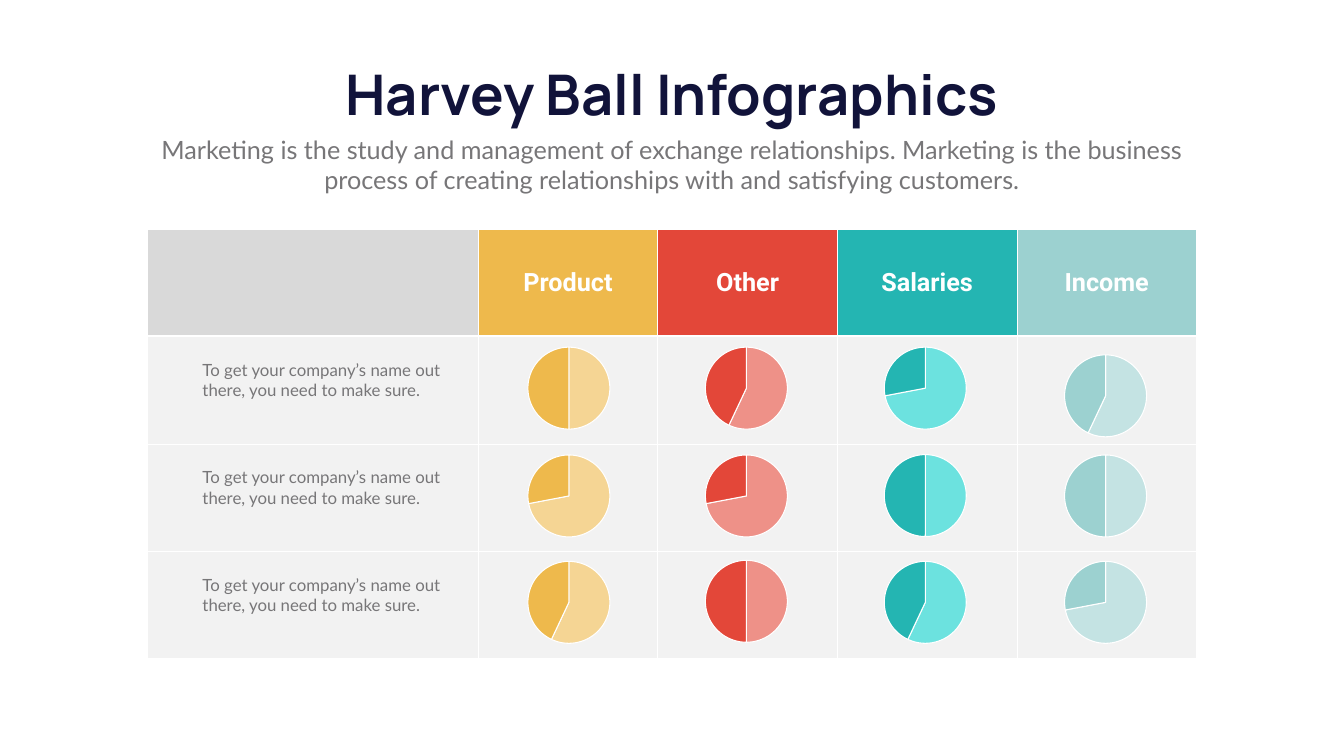
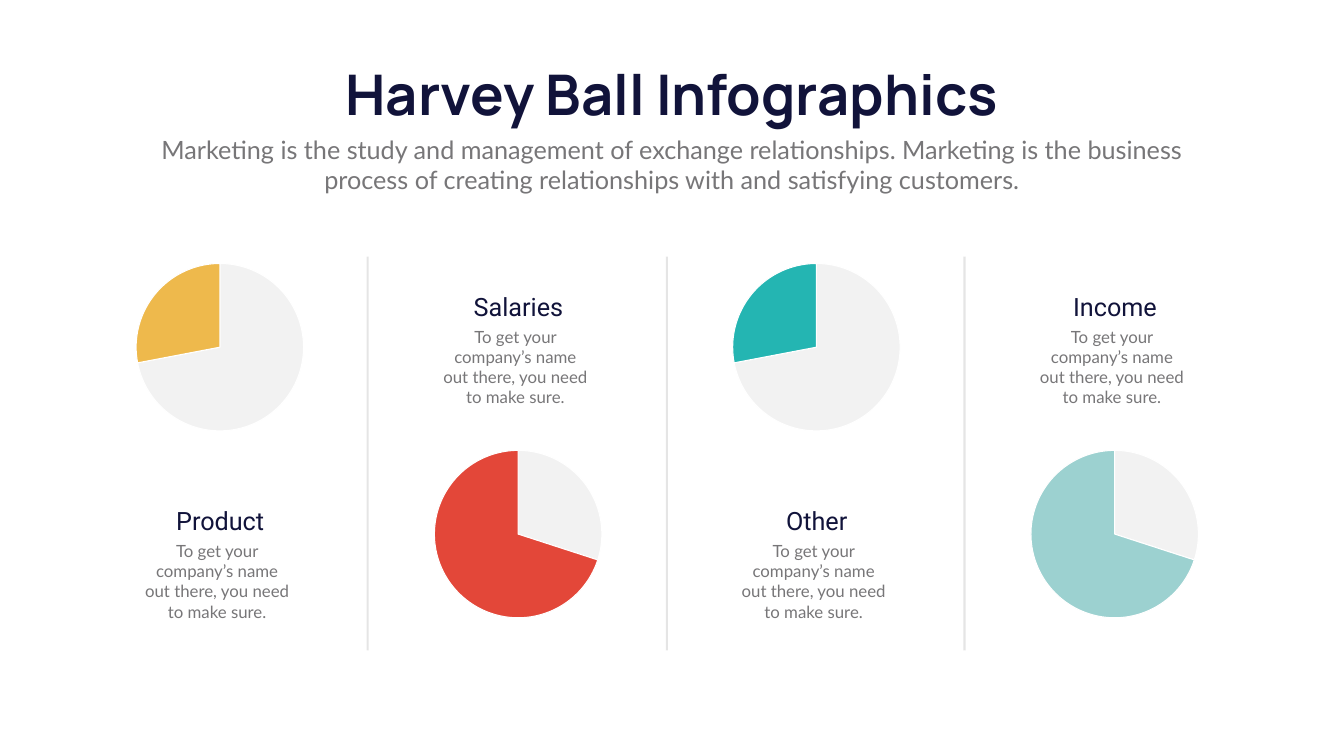
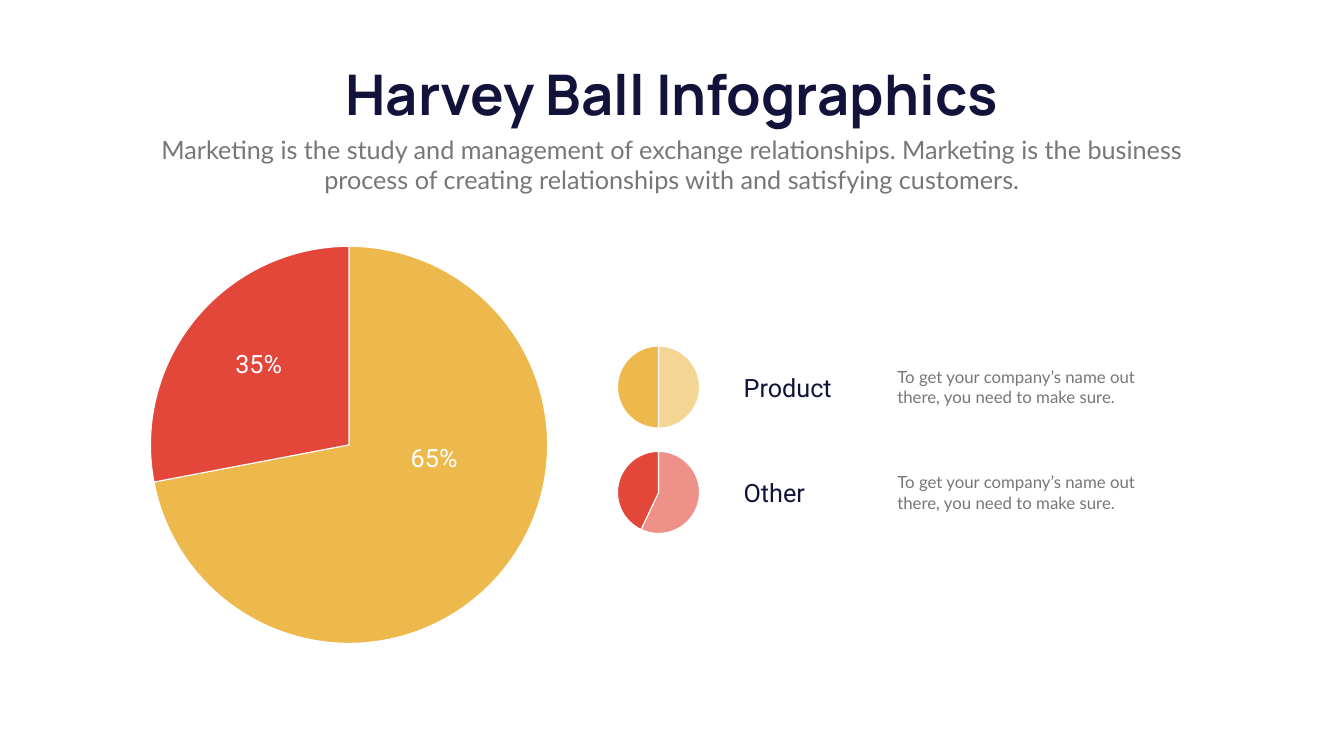
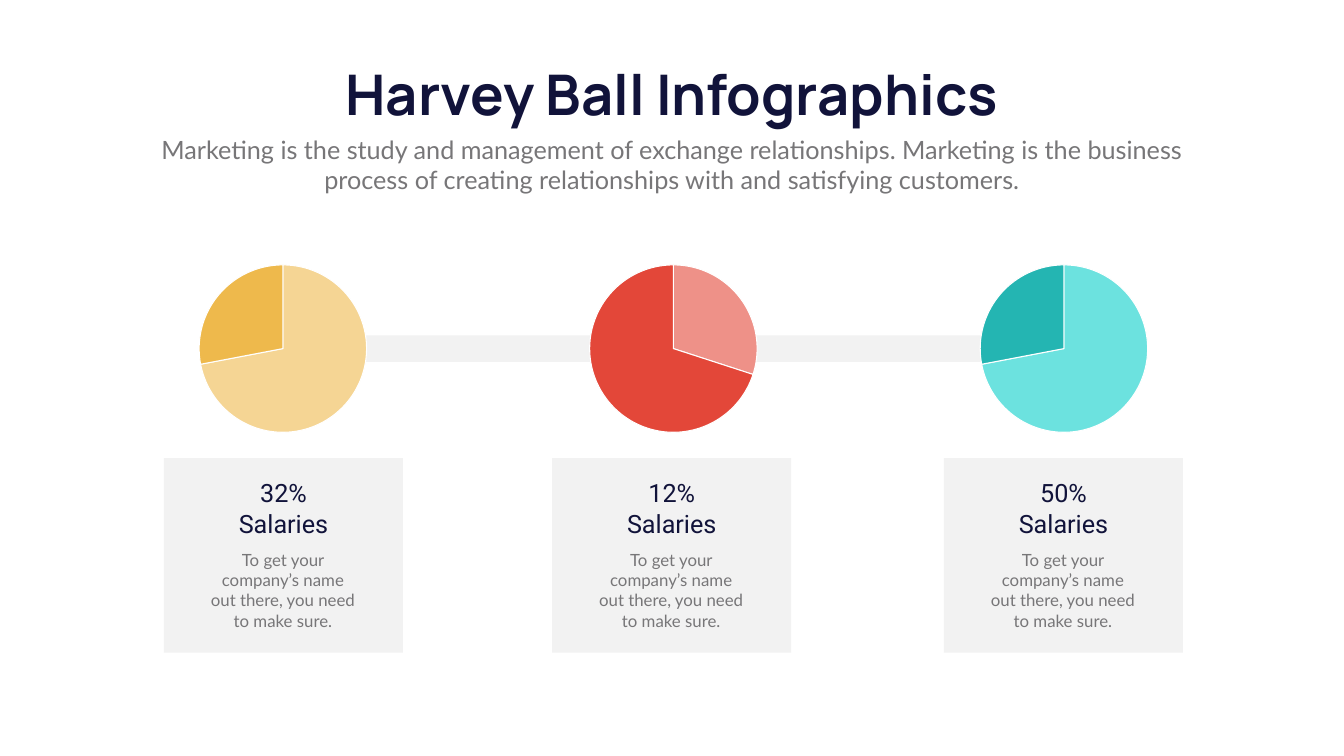
"""Build four Harvey ball infographic slides that share one title block."""
from dataclasses import dataclass

from lxml.etree import SubElement
from pptx import Presentation
from pptx.chart.data import CategoryChartData
from pptx.dml.color import RGBColor
from pptx.enum.chart import XL_CHART_TYPE as ChartType
from pptx.enum.shapes import MSO_CONNECTOR as Connector, MSO_SHAPE as Shape
from pptx.enum.text import MSO_ANCHOR as Anchor, MSO_AUTO_SIZE as AutoSize, PP_ALIGN as Align
from pptx.oxml import parse_xml
from pptx.oxml.ns import nsdecls, qn
from pptx.util import Pt


@dataclass(frozen=True)
class Style:
    font: str
    size: float
    color: str
    bold: bool = False


@dataclass(frozen=True)
class Theme:
    title: Style = Style("Manrope", 80, "11133A", True)
    lead: Style = Style("Lato", 36, "777678")
    body: Style = Style("Lato", 24, "777678")
    label: Style = Style("Roboto", 36, "11133A")
    share: Style = Style("Roboto", 36, "FFFFFF")
    header: Style = Style("Roboto", 36, "FFFFFF", True)
    chart: Style = Style("Calibri", 10, "777678")
    white: str = "FFFFFF"
    panel: str = "F2F2F2"
    corner: str = "D9D9D9"
    divider: str = "808080"
    yellow: str = "EEB94C"
    yellow_tint: str = "F5D594"
    red: str = "E34739"
    red_tint: str = "EE9188"
    teal: str = "24B5B2"
    teal_tint: str = "6CE2DF"
    mint: str = "9CD1D0"
    mint_tint: str = "C4E3E3"


THEME = Theme()
YELLOW = (THEME.yellow_tint, THEME.yellow)
RED = (THEME.red_tint, THEME.red)
TEAL = (THEME.teal_tint, THEME.teal)
MINT = (THEME.mint_tint, THEME.mint)

TITLE = "Harvey Ball Infographics"
LEAD = ("Marketing is the study and management of exchange relationships. "
        "Marketing is the business process of creating relationships with "
        "and satisfying customers.")
BLURB = "To get your company’s name out there, you need to make sure."

HALF, MOST, QUARTER, THIRD = (50, 50), (57, 43), (72, 28), (30, 70)
SMALL, MEDIUM, LARGE = (205, 137), (388, 259), (880, 587)

TABLE_COLUMNS = [
    ("Product", YELLOW, 710, ((486, HALF), (640, QUARTER), (792, MOST))),
    ("Other", RED, 963.5, ((486, MOST), (640, QUARTER), (790.5, HALF))),
    ("Salaries", TEAL, 1219, ((486, QUARTER), (639.5, HALF), (792, MOST))),
    ("Income", MINT, 1476.5, ((497, MOST), (640, HALF), (792, QUARTER))),
]
STAGGERED = [
    ("Product", THEME.yellow, QUARTER),
    ("Salaries", THEME.red, THIRD),
    ("Other", THEME.teal, QUARTER),
    ("Income", THEME.mint, THIRD),
]
DIVIDERS = [525, 952.5, 1377.5]
LEGEND = [("Product", YELLOW, HALF), ("Other", RED, MOST)]
SHARES = [("65%", 566.5, 628.5), ("35%", 316, 494.5)]
CARDS = [
    ("32%", YELLOW, QUARTER, 234),
    ("12%", RED, THIRD, 788.5),
    ("50%", TEAL, QUARTER, 1348),
]


def rgb(color):
    return RGBColor.from_string(color)


def points(*lengths):
    return [Pt(length) for length in lengths]


def style_font(font, style):
    font.name, font.size, font.bold = style.font, Pt(style.size), style.bold
    font.color.rgb = rgb(style.color)


def write(frame, lines, style, align=Align.CENTER):
    for index, line in enumerate(lines):
        para = frame.add_paragraph() if index else frame.paragraphs[0]
        para.text, para.alignment = line, align
        style_font(para.font, style)


def add_text(page, place, lines, style, align=Align.CENTER):
    box = page.shapes.add_textbox(*points(*place))
    box.text_frame.word_wrap = True
    write(box.text_frame, lines, style, align)


def add_panel(page, place):
    panel = page.shapes.add_shape(Shape.RECTANGLE, *points(*place))
    panel.shadow.inherit = False
    panel.fill.solid()
    panel.fill.fore_color.rgb = rgb(THEME.panel)
    panel.line.fill.background()


def add_ball(page, left, top, size, values, colors):
    data = CategoryChartData()
    data.categories = ["1", "2"]
    data.add_series("Series 1", values)
    chart = page.shapes.add_chart(ChartType.PIE, *points(left, top, *size), data).chart
    chart.has_title = chart.has_legend = False
    style_font(chart.font, THEME.chart)
    plot = chart.plots[0]
    plot.vary_by_categories = True
    for index, color in enumerate(colors):
        slice_format = plot.series[0].points[index].format
        slice_format.fill.solid()
        slice_format.fill.fore_color.rgb = rgb(color)
        slice_format.line.color.rgb = rgb(THEME.white)
        slice_format.line.width = Pt(1.5)
    clear = parse_xml(f'<c:spPr {nsdecls("c", "a")}><a:noFill/>'
                      '<a:ln><a:noFill/></a:ln></c:spPr>')
    chart.element.find(qn("c:chart")).addnext(clear)


def add_page(deck):
    page = deck.slides.add_slide(deck.slide_layouts[5])
    title = page.shapes.title
    title.left, title.top, title.width, title.height = points(442, 81, 1035, 104)
    frame = title.text_frame
    frame.auto_size, frame.word_wrap = AutoSize.NONE, False
    frame.vertical_anchor = Anchor.TOP
    write(frame, [TITLE], THEME.title)
    add_text(page, (210, 188, 1499, 94), [LEAD], THEME.lead)
    return page


def paint_cell(cell, row, color):
    props = cell._tc.get_or_add_tcPr()
    for side in ("lnL", "lnR", "lnT", "lnB"):
        width = 3 if (row, side) in ((0, "lnB"), (1, "lnT")) else 1
        line = SubElement(props, qn(f"a:{side}"), w=str(Pt(width)))
        SubElement(SubElement(line, qn("a:solidFill")), qn("a:srgbClr"), val=THEME.white)
    cell.fill.solid()
    cell.fill.fore_color.rgb = rgb(color)
    cell.vertical_anchor = Anchor.MIDDLE


def build_table(deck):
    page = add_page(deck)
    table = page.shapes.add_table(4, 5, *points(210, 327, 1499, 614)).table
    for index, column in enumerate(table.columns):
        column.width = Pt(256.5 if index else 473)
    for row in range(4):
        table.rows[row].height = Pt(153.5)
        for column in range(5):
            paint_cell(table.cell(row, column), row, THEME.panel if row else THEME.corner)
        if row:
            cell = table.cell(row, 0)
            cell.margin_bottom = Pt(32)
            para = cell.text_frame.paragraphs[0]
            para.level = 1
            para._p.get_or_add_pPr().set("marL", str(Pt(72)))
            write(cell.text_frame, [BLURB], THEME.body, Align.LEFT)
    for column, (name, colors, left, balls) in enumerate(TABLE_COLUMNS, 1):
        header = table.cell(0, column)
        header.fill.fore_color.rgb = rgb(colors[1])
        write(header.text_frame, [name], THEME.header)
        for top, values in balls:
            add_ball(page, left, top, SMALL, values, colors)


def build_staggered(deck):
    page = add_page(deck)
    for index, (name, color, values) in enumerate(STAGGERED):
        left = 120 + 426 * index
        ball_top, text_top = (633.5, 412) if index % 2 else (366.5, 718)
        add_ball(page, left, ball_top, MEDIUM, values, (THEME.panel, color))
        add_text(page, (left + 77, text_top, 235, 51), [name], THEME.label)
        add_text(page, (left + 77, text_top + 51, 226, 124), [BLURB], THEME.body)
    for x in DIVIDERS:
        line = page.shapes.add_connector(Connector.STRAIGHT, *points(x, 366.5, x, 929))
        line.line.color.rgb = rgb(THEME.divider)
        line.line.width = Pt(3)
        color = line._element.spPr.find(".//" + qn("a:srgbClr"))
        SubElement(color, qn("a:alpha"), val="20000")
        SubElement(line._element.spPr, qn("a:effectLst"))


def build_breakdown(deck):
    page = add_page(deck)
    add_ball(page, 58.5, 342, LARGE, QUARTER, (THEME.yellow, THEME.red))
    for share, left, top in SHARES:
        add_text(page, (left, top, 107, 51), [share], THEME.share)
    for index, (name, colors, values) in enumerate(LEGEND):
        top = 484.5 + 150.5 * index
        add_ball(page, 838, top, SMALL, values, colors)
        add_text(page, (1055, top + 44, 235, 51), [name], THEME.label, Align.LEFT)
        add_text(page, (1274.5, top + 36, 388, 65.5), [BLURB], THEME.body, Align.LEFT)


def build_cards(deck):
    page = add_page(deck)
    add_panel(page, (490, 479, 939.5, 38))
    for index, (share, colors, values, left) in enumerate(CARDS):
        add_ball(page, 210 + 557.75 * index, 368.5, MEDIUM, values, colors)
        add_panel(page, (left, 654.5, 341.5, 278))
        add_text(page, (left + 53.5, 679, 235, 94), [share, "Salaries"], THEME.label)
        add_text(page, (left + 57, 782, 226, 124), [BLURB], THEME.body)


def main():
    deck = Presentation()
    deck.slide_width, deck.slide_height = points(1919.5, 1080)
    for build in (build_table, build_staggered, build_breakdown, build_cards):
        build(deck)
    deck.save("out.pptx")


if __name__ == "__main__":
    main()
